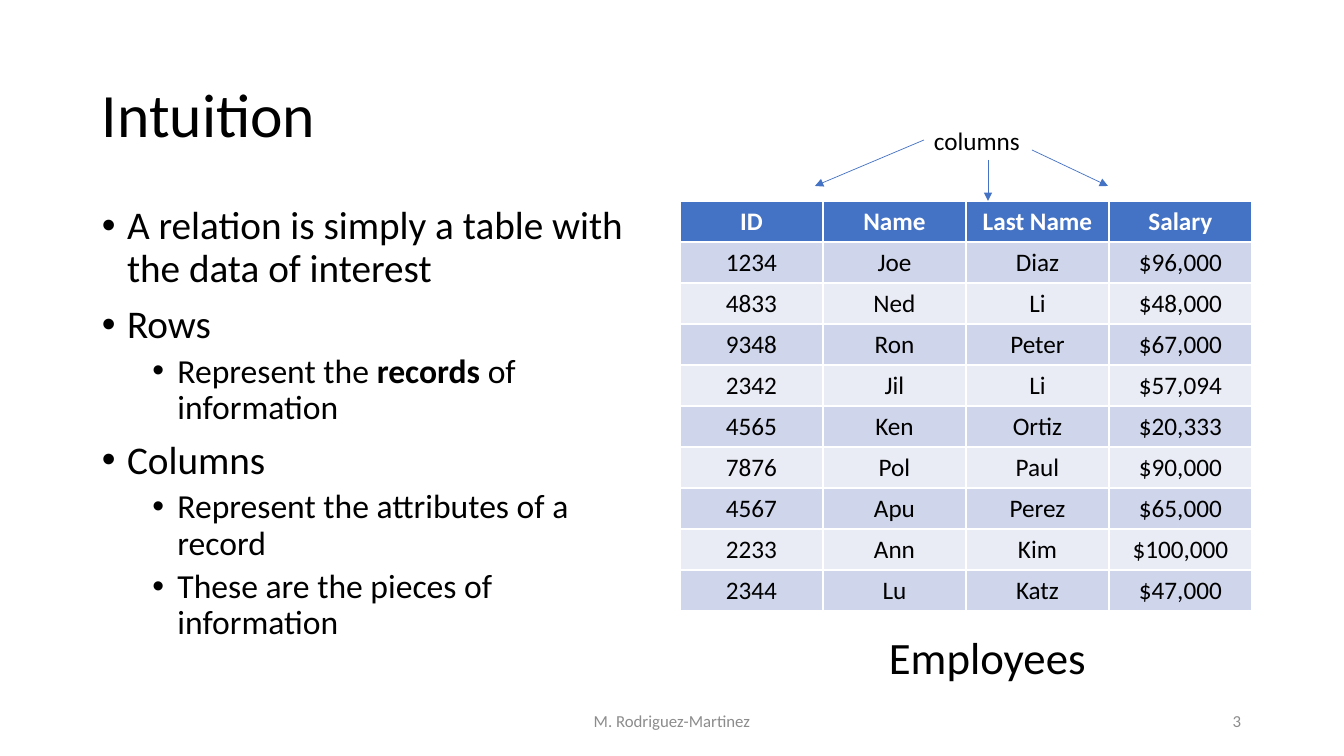
from lxml import etree
from pptx import Presentation
from pptx.dml.color import RGBColor
from pptx.enum.shapes import MSO_CONNECTOR
from pptx.enum.text import MSO_ANCHOR, PP_ALIGN
from pptx.oxml.ns import qn
from pptx.util import Emu, Pt

LEFT, MID, RIGHT = PP_ALIGN.LEFT, PP_ALIGN.CENTER, PP_ALIGN.RIGHT
TOP, CENTER = MSO_ANCHOR.TOP, MSO_ANCHOR.MIDDLE
LINE = MSO_CONNECTOR.STRAIGHT
SCALE = 12192000 / 1344
THEME = {
    "font": "Calibri",
    "ink": "000000", "white": "FFFFFF", "gray": "8C8C8C",
    "blue": "4472C4", "bands": ["CFD5EA", "E9EBF5"],
    "title": 44, "caption": 32, "body": [28, 24], "cell": 18, "foot": 12,
}


def px(*sizes):
    return [Emu(round(size * SCALE)) for size in sizes]


def style(para, size, color, align=LEFT):
    para.alignment = align
    for run in para.runs:
        run.font.name = THEME["font"]
        run.font.size = Pt(size)
        run.font.color.rgb = RGBColor.from_string(color)


deck = Presentation()
deck.slide_width, deck.slide_height = px(1344, 756)
slide = deck.slides.add_slide(deck.slide_layouts[6])
shapes = slide.shapes

labels = [
    ("Intuition", (92, 40, 1159, 146), "title", "ink", LEFT, CENTER, True),
    ("columns", (924, 120, 128, 40), "cell", "ink", LEFT, TOP, True),
    ("Employees", (879, 625, 219, 64), "caption", "ink", LEFT, TOP, False),
    ("M. Rodriguez-Martinez", (445, 701, 454, 40), "foot", "gray", MID, CENTER, True),
    ("3", (949, 701, 302, 40), "foot", "gray", RIGHT, CENTER, True),
]
for text, place, size, color, align, anchor, wrap in labels:
    frame = shapes.add_textbox(*px(*place)).text_frame
    frame.word_wrap = wrap
    frame.vertical_anchor = anchor
    frame.text = text
    style(frame.paragraphs[0], THEME[size], THEME[color], align)

points = [
    (0, ["A relation is simply a table with the data of interest"]),
    (0, ["Rows"]),
    (1, ["Represent the ", "records", " of information"]),
    (0, ["Columns"]),
    (1, ["Represent the attributes of a record"]),
    (1, ["These are the pieces of information"]),
]
frame = shapes.add_textbox(*px(92, 201, 571, 480)).text_frame
frame.word_wrap = True
for index, (level, parts) in enumerate(points):
    para = frame.add_paragraph() if index else frame.paragraphs[0]
    para.level = level
    para.line_spacing = 0.9
    para.space_before = Pt(5 if level else 10)
    for part in parts:
        run = para.add_run()
        run.text = part
        run.font.bold = part == "records"
    style(para, THEME["body"][level], THEME["ink"])
    props = para._p.get_or_add_pPr()
    props.set("marL", str(Pt(54 if level else 18)))
    props.set("indent", str(Pt(-18)))
    etree.SubElement(props, qn("a:buFont"), typeface="Arial")
    etree.SubElement(props, qn("a:buChar"), char="•")

rows = [
    ("ID", "Name", "Last Name", "Salary"),
    ("1234", "Joe", "Diaz", "$96,000"),
    ("4833", "Ned", "Li", "$48,000"),
    ("9348", "Ron", "Peter", "$67,000"),
    ("2342", "Jil", "Li", "$57,094"),
    ("4565", "Ken", "Ortiz", "$20,333"),
    ("7876", "Pol", "Paul", "$90,000"),
    ("4567", "Apu", "Perez", "$65,000"),
    ("2233", "Ann", "Kim", "$100,000"),
    ("2344", "Lu", "Katz", "$47,000"),
]
place = px(680, 201, 143 * len(rows[0]), 41 * len(rows))
table = shapes.add_table(len(rows), len(rows[0]), *place).table
for index, row in enumerate(rows):
    head = index == 0
    fill = THEME["blue"] if head else THEME["bands"][(index - 1) % 2]
    for cell, text in zip(table.rows[index].cells, row):
        cell.text = text
        cell.fill.solid()
        cell.fill.fore_color.rgb = RGBColor.from_string(fill)
        para = cell.text_frame.paragraphs[0]
        style(para, THEME["cell"], THEME["white" if head else "ink"], MID)
        para.runs[0].font.bold = head

arrows = [(924, 140, 815, 186), (988, 160, 988, 201), (1032, 150, 1108, 186)]
for ends in arrows:
    arrow = shapes.add_connector(LINE, *px(*ends))
    arrow.line.color.rgb = RGBColor.from_string(THEME["blue"])
    arrow.line.width = Pt(0.5)
    etree.SubElement(arrow.line._get_or_add_ln(), qn("a:tailEnd"), type="triangle")
    etree.SubElement(arrow._element.spPr, qn("a:effectLst"))

deck.save("out.pptx")
